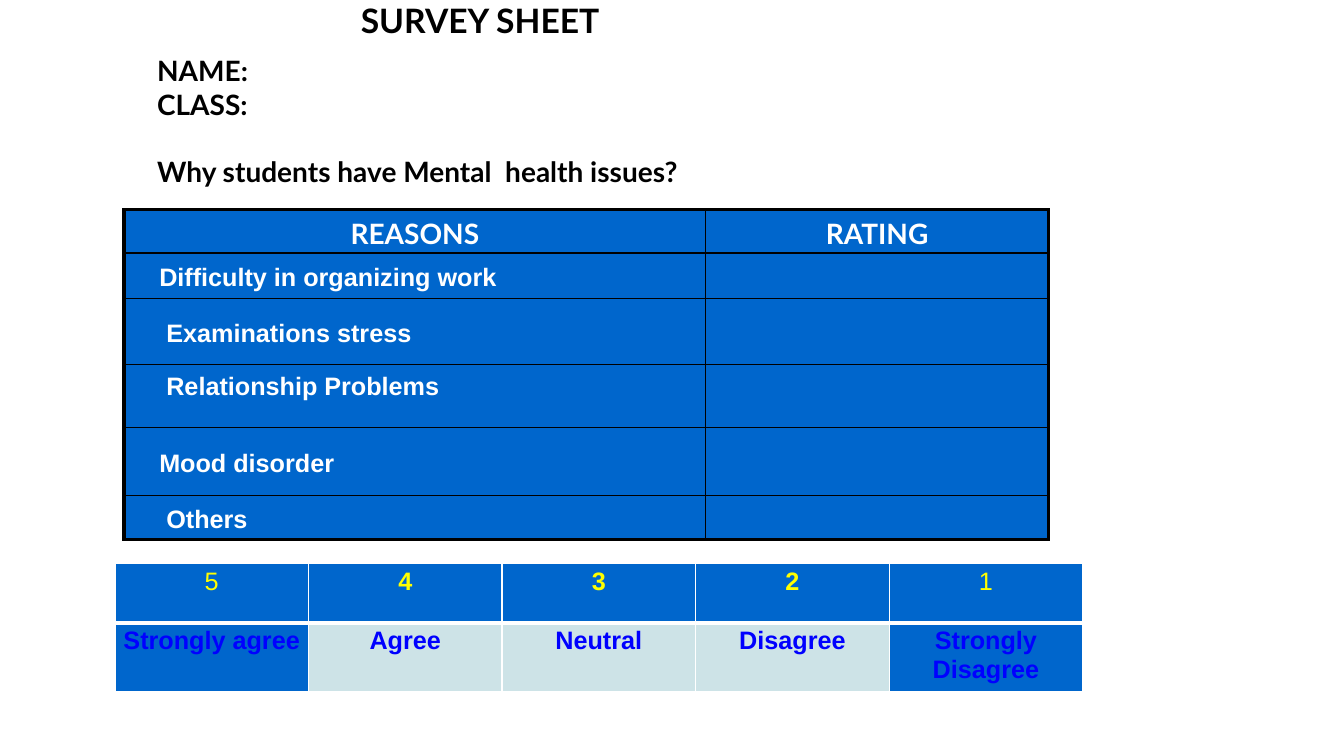
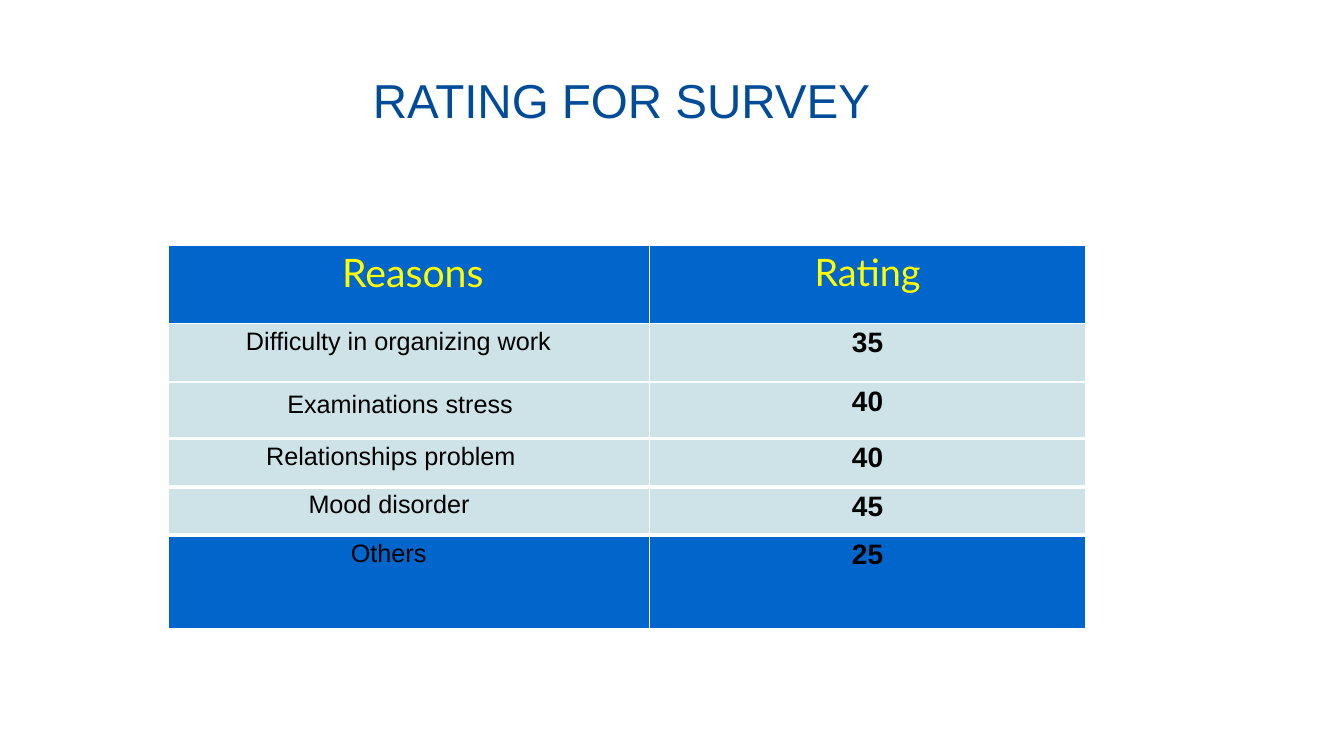
from lxml import etree
from pptx import Presentation
from pptx.dml.color import RGBColor
from pptx.enum.text import MSO_ANCHOR, PP_ALIGN
from pptx.oxml.ns import qn
from pptx.util import Inches, Pt

LEFT, CENTER = PP_ALIGN.LEFT, PP_ALIGN.CENTER
TOP, MIDDLE = MSO_ANCHOR.TOP, MSO_ANCHOR.MIDDLE

WHITE = RGBColor(0xFF, 0xFF, 0xFF)
BLACK = RGBColor(0x00, 0x00, 0x00)
BLUE = RGBColor(0x00, 0x66, 0xCC)
PALE = RGBColor(0xCD, 0xE3, 0xE7)
YELLOW = RGBColor(0xFF, 0xFF, 0x00)
LABEL_BLUE = RGBColor(0x00, 0x00, 0xFF)
TITLE_BLUE = RGBColor(0x00, 0x4C, 0x99)

HEAD_FONT = "Lato"
BODY_FONT = "Arial"


def write(p, text, size=18, font=BODY_FONT, color=BLACK, bold=False,
          align=LEFT, indent=0, before=0, spacing=None):
    """Fill a paragraph with one formatted run."""
    p.alignment = align
    p.space_before = Pt(before)
    if spacing:
        p.line_spacing = spacing
    if indent:
        pPr = p._p.get_or_add_pPr()
        pPr.set("marL", str(Inches(indent)))
        pPr.set("indent", "0")
    r = p.add_run()
    r.text = text
    r.font.size = Pt(size)
    r.font.name = font
    r.font.bold = bold
    r.font.color.rgb = color


def add_text(s, box, paragraphs, inset=0.1):
    """Add a wrapped text box holding (text, format) paragraphs."""
    tf = s.shapes.add_textbox(*map(Inches, box)).text_frame
    tf.word_wrap = True
    tf.margin_left = tf.margin_right = Inches(0.1)
    tf.margin_top = tf.margin_bottom = Inches(inset)
    for i, (text, fmt) in enumerate(paragraphs):
        write(tf.add_paragraph() if i else tf.paragraphs[0], text, **fmt)


def set_borders(cell, color, **widths):
    """Draw cell edges, given as L, R, T and B widths in points."""
    tcPr = cell._tc.get_or_add_tcPr()
    for side, width in widths.items():
        ln = etree.SubElement(tcPr, qn(f"a:ln{side}"), w=str(Pt(width)))
        fill = etree.SubElement(ln, qn("a:solidFill"))
        etree.SubElement(fill, qn("a:srgbClr"), val=str(color))


def add_grid(s, left, top, cols, rows, line_color, h_lines, v_lines,
             inset=0.04, anchor=TOP):
    """Add a plain table with ruled lines and return it."""
    table = s.shapes.add_table(
        len(rows), len(cols), Inches(left), Inches(top),
        Inches(sum(cols)), Inches(sum(rows))).table
    table.horz_banding = table.first_row = False
    for col, width in zip(table.columns, cols):
        col.width = Inches(width)
    for r, height in enumerate(rows):
        table.rows[r].height = Inches(height)
        for c in range(len(cols)):
            cell = table.cell(r, c)
            cell.margin_left = cell.margin_right = Inches(0.07)
            cell.margin_top = cell.margin_bottom = Inches(inset)
            cell.vertical_anchor = anchor
            set_borders(cell, line_color, L=v_lines[c], R=v_lines[c + 1],
                        T=h_lines[r], B=h_lines[r + 1])
    return table


def fill_cell(cell, background, text="", **fmt):
    """Colour a cell and write its text, if any."""
    cell.fill.solid()
    cell.fill.fore_color.rgb = background
    if text:
        write(cell.text_frame.paragraphs[0], text, **fmt)


def add_reasons_table(s, left, top):
    """Place the blank questionnaire table."""
    table = add_grid(s, left, top, [5.77, 3.4],
                     [0.43, 0.45, 0.66, 0.62, 0.68, 0.43], BLACK,
                     [2.5, 1, 1, 1, 1, 1, 2.5], [2.5, 1, 2.5],
                     inset=0, anchor=MIDDLE)
    fmt = dict(color=WHITE, bold=True, spacing=1.15)
    for c, text in enumerate(["REASONS", "RATING"]):
        fill_cell(table.cell(0, c), BLUE, text, size=20, font=HEAD_FONT,
                  align=CENTER, **fmt)
    reasons = [("Difficulty in organizing work", 0.28, 0),
               ("Examinations stress", 0.35, 0),
               ("Relationship Problems", 0.35, 0.22),
               ("Mood disorder", 0.28, 0),
               ("Others", 0.35, 0)]
    for r, (text, indent, bottom) in enumerate(reasons, 1):
        fill_cell(table.cell(r, 0), BLUE, text, indent=indent, **fmt)
        table.cell(r, 0).margin_bottom = Inches(bottom)
        fill_cell(table.cell(r, 1), BLUE)


def add_scale_table(s, left, top):
    """Place the five-step agreement scale."""
    labels = ["Strongly agree", "Agree", "Neutral", "Disagree",
              "Strongly Disagree"]
    n = len(labels)
    table = add_grid(s, left, top, [1.92] * n, [0.59, 0.68], WHITE,
                     [1, 3, 1], [1] * (n + 1))
    for c, label in enumerate(labels):
        is_end = c in (0, n - 1)
        fill_cell(table.cell(0, c), BLUE, str(n - c), color=YELLOW,
                  bold=not is_end, align=CENTER)
        fill_cell(table.cell(1, c), BLUE if is_end else PALE, label,
                  color=LABEL_BLUE, bold=True, align=CENTER)


def add_results_table(s, left, top):
    """Place the table of survey ratings."""
    table = add_grid(s, left, top, [4.77, 4.33],
                     [0.78, 0.58, 0.56, 0.48, 0.48, 0.93], WHITE,
                     [1, 1, 1, 3, 3, 3, 1], [1, 1, 1])
    for c, (text, size, indent) in enumerate([("Reasons", 28, 0.08),
                                              ("Rating", 27, 0)]):
        fill_cell(table.cell(0, c), BLUE, text, size=size, font=HEAD_FONT,
                  color=YELLOW, align=CENTER, indent=indent)
    results = [("Difficulty in organizing work", 35, 0.7, None),
               ("Examinations stress", 40, 1.11, 1.15),
               ("Relationships problem", 40, 0.9, None),
               ("Mood disorder", 45, 1.32, None),
               ("Others", 25, 1.74, None)]
    for r, (text, rating, indent, spacing) in enumerate(results, 1):
        background = BLUE if r == len(results) else PALE
        fill_cell(table.cell(r, 0), background, text, indent=indent,
                  spacing=spacing)
        fill_cell(table.cell(r, 1), background, str(rating), size=20,
                  bold=True, align=CENTER)


def build_survey_sheet(s):
    """Build the questionnaire slide."""
    fmt = dict(size=20, font=HEAD_FONT, bold=True)
    add_text(s, (1.46, 0, 7.15, 1.95), [
        ("SURVEY SHEET", {**fmt, "size": 24, "indent": 2.02}),
        ("NAME:", {**fmt, "before": 9.6}),
        ("CLASS:", fmt),
        ("Why students have Mental  health issues?", {**fmt, "before": 24}),
    ], inset=0)
    add_reasons_table(s, 1.23, 2.08)
    add_scale_table(s, 1.14, 5.59)


def build_survey_ratings(s):
    """Build the results slide."""
    add_text(s, (2.77, 0.6, 6.79, 0.76), [
        ("RATING FOR SURVEY",
         dict(size=34, color=TITLE_BLUE, align=CENTER))])
    add_results_table(s, 1.67, 2.43)


def main():
    """Build and save the presentation."""
    prs = Presentation()
    prs.slide_width, prs.slide_height = Inches(13.33), Inches(7.5)
    for build in (build_survey_sheet, build_survey_ratings):
        build(prs.slides.add_slide(prs.slide_layouts[6]))
    prs.save("out.pptx")


if __name__ == "__main__":
    main()
